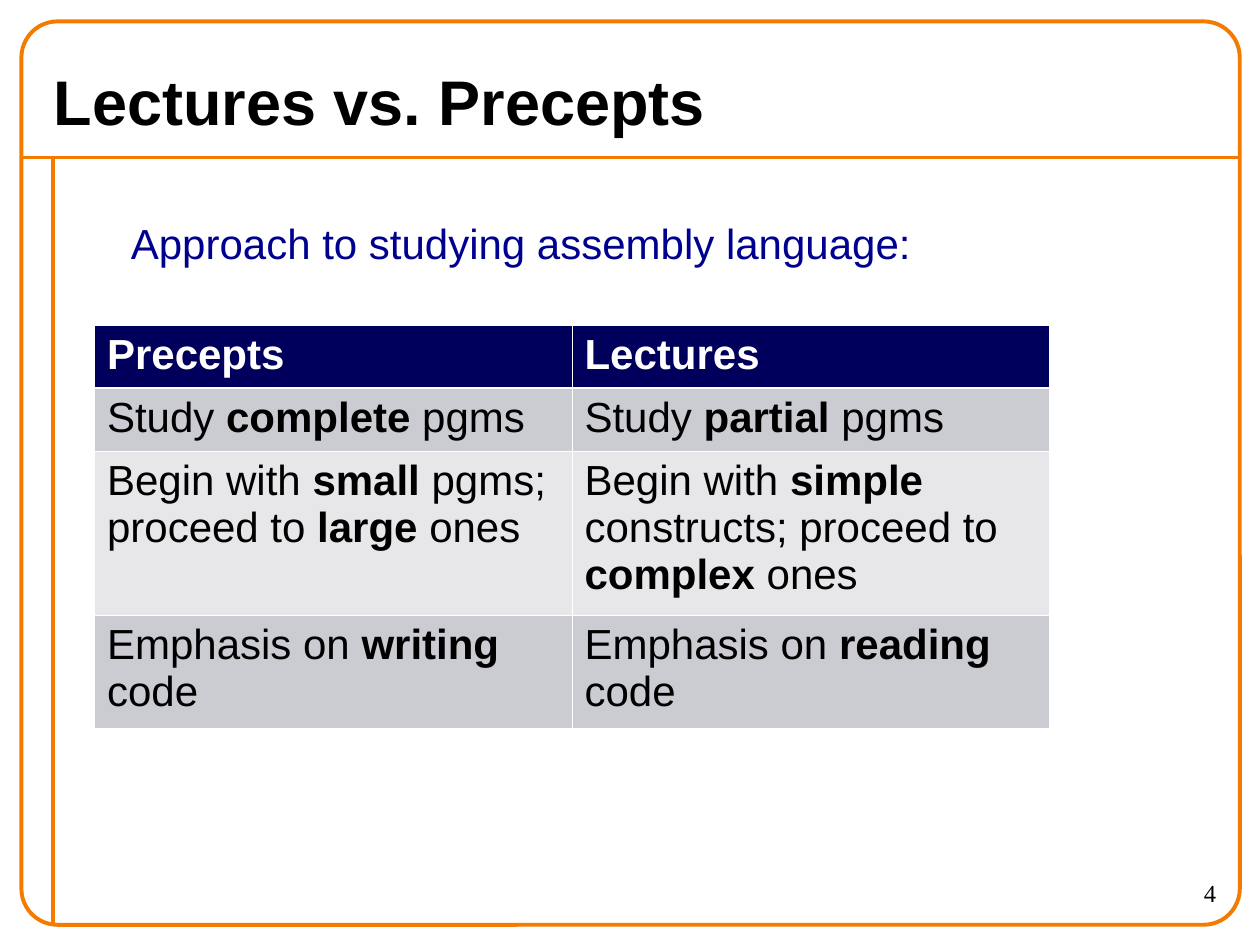
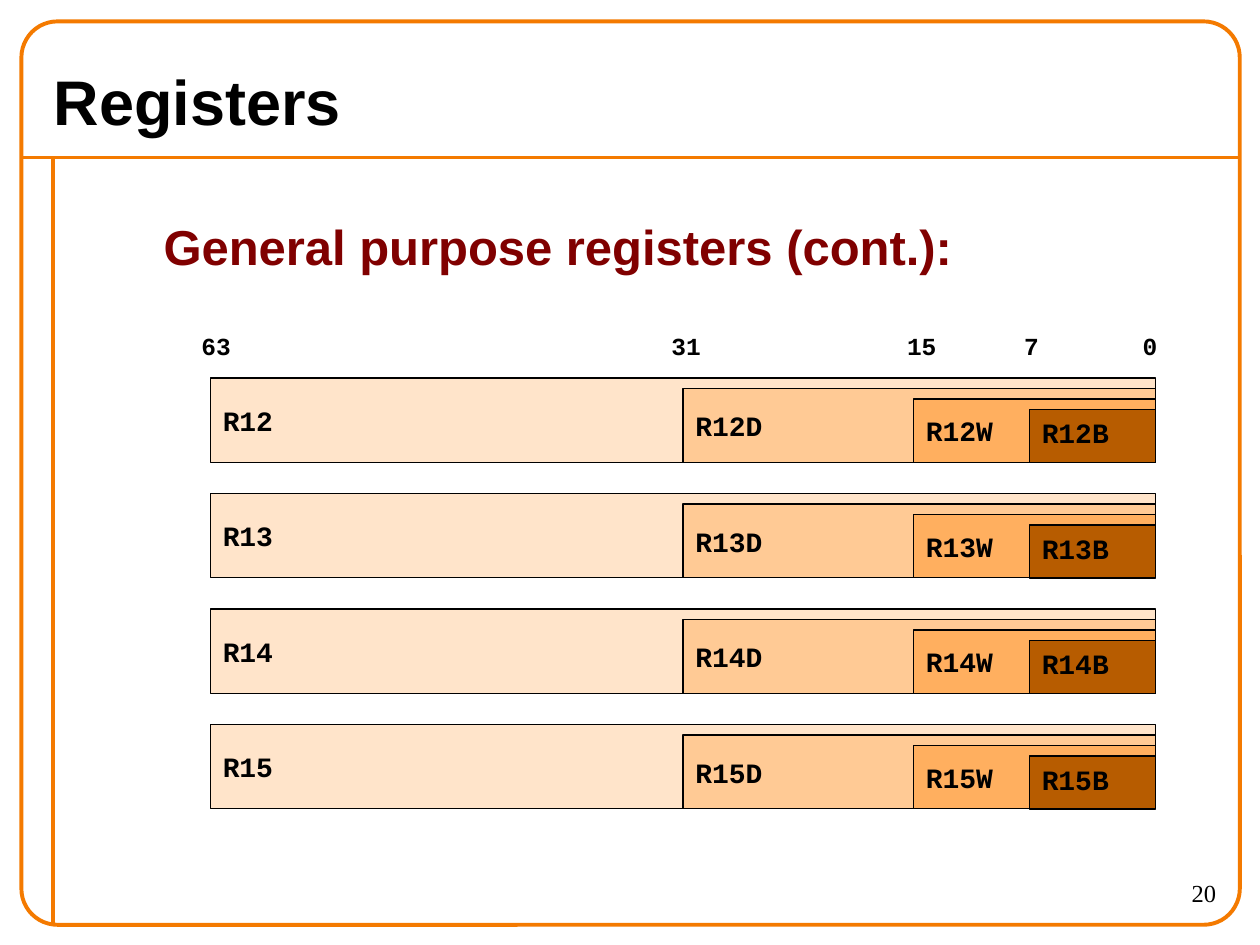
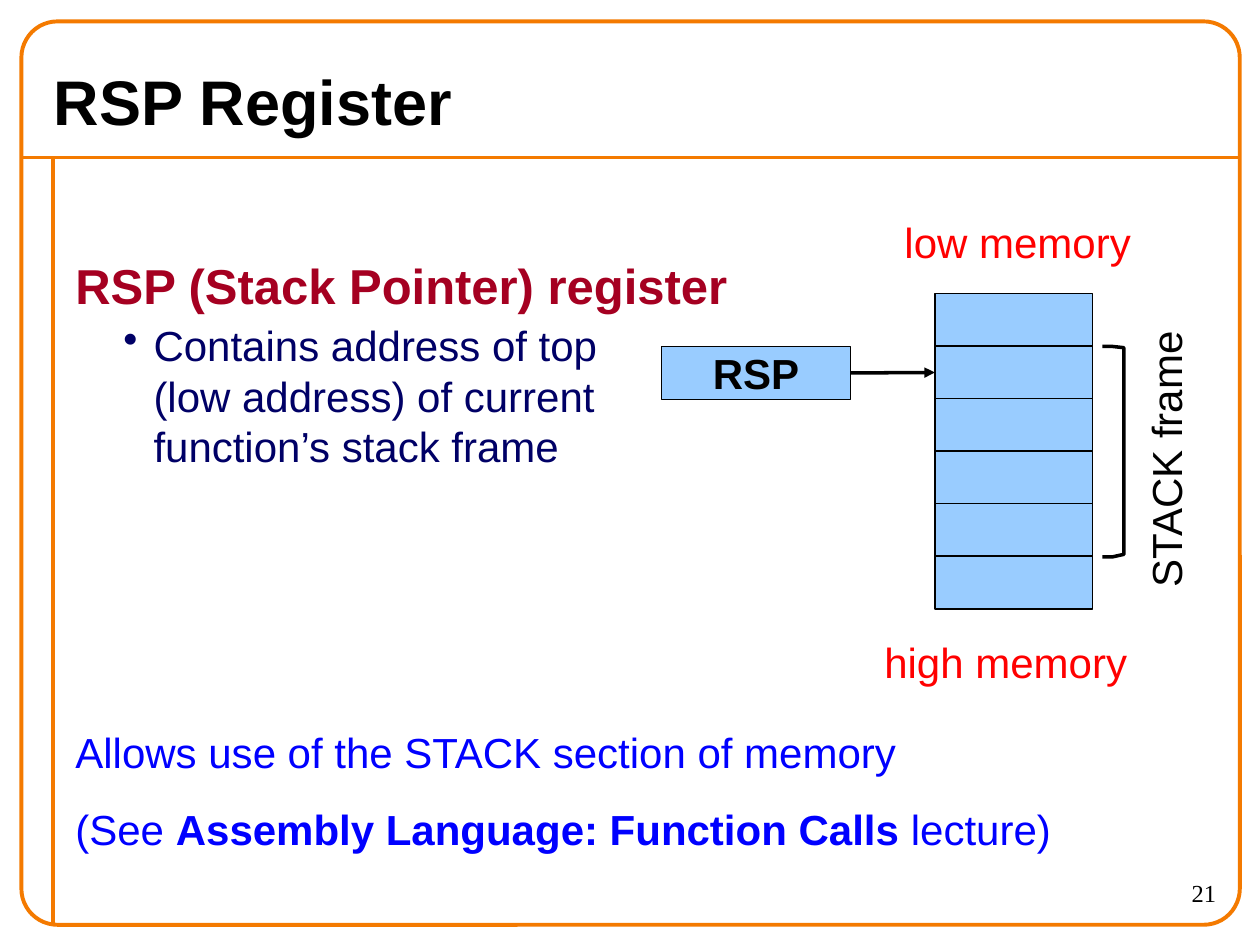
"""Build three lecture slides on assembly language and registers."""
import pptx
import pptx.dml.color
import pptx.enum.shapes
import pptx.enum.text
import pptx.oxml
import pptx.oxml.ns
import pptx.util
import lxml.etree

Inches = pptx.util.Inches
Pt = pptx.util.Pt
RGBColor = pptx.dml.color.RGBColor
SHAPE = pptx.enum.shapes.MSO_SHAPE
STRAIGHT = pptx.enum.shapes.MSO_CONNECTOR.STRAIGHT
ANCHOR = pptx.enum.text.MSO_ANCHOR
ALIGN = pptx.enum.text.PP_ALIGN
qn = pptx.oxml.ns.qn

BLACK = RGBColor(0x00, 0x00, 0x00)
WHITE = RGBColor(0xFF, 0xFF, 0xFF)
ORANGE = RGBColor(0xF4, 0x7A, 0x00)
INTRO_BLUE = RGBColor(0x00, 0x00, 0x90)
HEADER_NAVY = RGBColor(0x00, 0x00, 0x5C)
ROW_DARK = RGBColor(0xCB, 0xCB, 0xD2)
ROW_LIGHT = RGBColor(0xE7, 0xE7, 0xEA)
MAROON = RGBColor(0x80, 0x00, 0x00)
CRIMSON = RGBColor(0xA5, 0x00, 0x21)
BULLET_NAVY = RGBColor(0x00, 0x00, 0x66)
NOTE_BLUE = RGBColor(0x00, 0x00, 0xFF)
MEMORY_RED = RGBColor(0xFF, 0x00, 0x00)
MEMORY_BLUE = RGBColor(0x99, 0xCC, 0xFF)
QWORD = RGBColor(0xFF, 0xE4, 0xCA)
DWORD = RGBColor(0xFF, 0xCA, 0x95)
WORD = RGBColor(0xFF, 0xAF, 0x5F)
BYTE = RGBColor(0xB7, 0x5C, 0x00)


def write(frame, text, size, colour=BLACK, bold=False, name="Arial"):
    """Add a paragraph to a text frame, with *starred* words in bold."""
    para = frame.add_paragraph() if frame.text else frame.paragraphs[0]
    frame.word_wrap = True
    para.font.size = Pt(size)
    para.font.color.rgb = colour
    para.font.bold = bold
    para.font.name = name
    if "*" not in text:
        para.text = text
        return para
    for index, part in enumerate(text.split("*")):
        span = para.add_run()
        span.text = part
        if index % 2:
            span.font.bold = True
    return para


def add_box(page, left, top, width, height, fill=None):
    """Add a text box, or an outlined rectangle when a fill is given."""
    place = [Inches(length) for length in (left, top, width, height)]
    if fill is None:
        return page.shapes.add_textbox(*place)
    box = page.shapes.add_shape(SHAPE.RECTANGLE, *place)
    box.shadow.inherit = False
    box.fill.solid()
    box.fill.fore_color.rgb = fill
    box.line.color.rgb = BLACK
    box.line.width = Pt(0.75)
    box.text_frame.vertical_anchor = ANCHOR.MIDDLE
    return box


deck = pptx.Presentation()
deck.slide_width = Inches(10)
deck.slide_height = Inches(7.5)

pages = []
for title, number in [("Lectures vs. Precepts", 4), ("Registers", 20), ("RSP Register", 21)]:
    page = deck.slides.add_slide(deck.slide_layouts[6])
    pages.append(page)
    for ends in [(0.17, 1.25, 9.83, 1.25), (0.42, 1.25, 0.42, 7.33)]:
        rule = page.shapes.add_connector(STRAIGHT, *map(Inches, ends))
        rule.line.color.rgb = ORANGE
        rule.line.width = Pt(2.25)
        lxml.etree.SubElement(rule._element.spPr, qn("a:effectLst"))
    border = page.shapes.add_shape(
        SHAPE.ROUNDED_RECTANGLE, Inches(0.17), Inches(0.17), Inches(9.67), Inches(7.17))
    border.adjustments[0] = 0.04
    border.shadow.inherit = False
    border.fill.background()
    border.line.color.rgb = ORANGE
    border.line.width = Pt(2.25)
    heading = add_box(page, 0.33, 0.42, 9.33, 0.75).text_frame
    heading.vertical_anchor = ANCHOR.MIDDLE
    write(heading, title, 36, bold=True)
    footer = add_box(page, 8.75, 6.92, 1, 0.42).text_frame
    write(footer, str(number), 14, name="Times New Roman").alignment = ALIGN.RIGHT

comparison_page, registers_page, stack_page = pages

intro = add_box(comparison_page, 0.94, 1.68, 6.39, 0.5).text_frame
write(intro, "Approach to studying assembly language:", 24, INTRO_BLUE)
intro.word_wrap = False

comparison = [
    (0.5, HEADER_NAVY, "Precepts", "Lectures"),
    (0.5, ROW_DARK, "Study *complete* pgms", "Study *partial* pgms"),
    (1.3, ROW_LIGHT, "Begin with *small* pgms; proceed to *large* ones",
     "Begin with *simple* constructs; proceed to *complex* ones"),
    (0.9, ROW_DARK, "Emphasis on *writing* code", "Emphasis on *reading* code"),
]
table = comparison_page.shapes.add_table(
    4, 2, Inches(0.75), Inches(2.58), Inches(7.58), Inches(3.2)).table
for row, (height, fill, *texts) in enumerate(comparison):
    table.rows[row].height = Inches(height)
    for column, text in enumerate(texts):
        cell = table.cell(row, column)
        header = row == 0
        write(cell.text_frame, text, 24, WHITE if header else BLACK, header)
        cell.fill.solid()
        cell.fill.fore_color.rgb = fill
        thick_side = {0: "lnB", 1: "lnT"}.get(row)
        for index, side in enumerate(["lnL", "lnR", "lnT", "lnB"]):
            width = Pt(1.47 if side == thick_side else 0.45)
            edge = lxml.etree.Element(qn("a:" + side), w=str(width))
            paint = lxml.etree.SubElement(edge, qn("a:solidFill"))
            lxml.etree.SubElement(paint, qn("a:srgbClr"), val=str(WHITE))
            cell._tc.get_or_add_tcPr().insert(index, edge)

caption = add_box(registers_page, 1.2, 1.67, 6.46, 0.57).text_frame
write(caption, "General purpose registers (cont.):", 28, MAROON, True)
caption.word_wrap = False

bits = add_box(registers_page, 1.5, 2.58, 7.92, 0.57).text_frame
scale = write(bits, "63\t31\t15\t7\t0", 14, bold=True, name="Courier New")
stops = lxml.etree.Element(qn("a:tabLst"))
for position in [3.73, 5.6, 6.53, 7.47]:
    lxml.etree.SubElement(stops, qn("a:tab"), pos=str(Inches(position)), algn="l")
scale._p.get_or_add_pPr().insert(0, stops)

parts = [("", 1.67, QWORD), ("D", 5.42, DWORD), ("W", 7.25, WORD), ("B", 8.17, BYTE)]
for row in range(4):
    for depth, (suffix, left, fill) in enumerate(parts):
        inset = depth / 12
        register = add_box(registers_page, left, 3 + row * 11 / 12 + inset,
                           9.17 - left, 0.67 - inset, fill)
        para = write(register.text_frame, f"R{12 + row}{suffix}", 16,
                     bold=True, name="Courier New")
        para.alignment = ALIGN.LEFT
        if suffix == "B":
            register.text_frame.vertical_anchor = ANCHOR.TOP

body = add_box(stack_page, 0.5, 1.98, 9.25, 5.35).text_frame
write(body, "RSP (Stack Pointer) register", 28, CRIMSON, True)
bullet = write(body, "Contains address of top\v(low address) of current\vfunction’s stack frame",
               24, BULLET_NAVY)
bullet.space_before = Pt(3)
properties = bullet._p.get_or_add_pPr()
properties.set("marL", str(Inches(0.62)))
properties.set("indent", str(Inches(-0.24)))
mark = lxml.etree.Element(qn("a:buChar"), char="•")
properties.insert_element_before(mark, "a:tabLst", "a:defRPr")
for text, gap in [("Allows use of the STACK section of memory", 146),
                  ("(See *Assembly Language: Function Calls* lecture)", 15)]:
    write(body, text, 24, NOTE_BLUE).space_before = Pt(gap)

stack = [add_box(stack_page, 7.42, 2.33 + row * 5 / 12, 1.25, 0.42, MEMORY_BLUE)
         for row in range(6)]
pointer = add_box(stack_page, 5.25, 2.75, 1.5, 0.42, MEMORY_BLUE)
write(pointer.text_frame, "RSP", 24, bold=True).alignment = ALIGN.CENTER
pointer.text_frame.word_wrap = False

arrow = stack_page.shapes.add_connector(
    STRAIGHT, Inches(6.75), Inches(2.96), Inches(7.42), Inches(2.96))
arrow.begin_connect(pointer, 3)
arrow.end_connect(stack[1], 1)
arrow.line.color.rgb = BLACK
arrow.line.width = Pt(2)
arrow_properties = arrow._element.spPr
lxml.etree.SubElement(arrow_properties.find(qn("a:ln")), qn("a:tailEnd"), type="triangle")
lxml.etree.SubElement(arrow_properties, qn("a:effectLst"))

bracket_points = [(8.75, 2.75), (8.83, 2.75), (8.92, 2.76),
                  (8.92, 4.4), (8.83, 4.42), (8.75, 4.42)]
corners = [(Inches(x), Inches(y)) for x, y in bracket_points]
builder = stack_page.shapes.build_freeform(*corners[0])
builder.add_line_segments(corners[1:], close=False)
bracket = builder.convert_to_shape()
bracket.shadow.inherit = False
bracket.fill.background()
bracket.line.color.rgb = BLACK
bracket.line.width = Pt(2)

frame_label = add_box(stack_page, 8.12, 3.38, 2.26, 0.5)
frame_label.rotation = 270
write(frame_label.text_frame, "STACK frame", 24)
for text, left, top in [("low memory", 7.08, 1.67), ("high memory", 6.92, 5)]:
    write(add_box(stack_page, left, top, 2.25, 0.5).text_frame, text, 24, MEMORY_RED)

deck.save("out.pptx")
